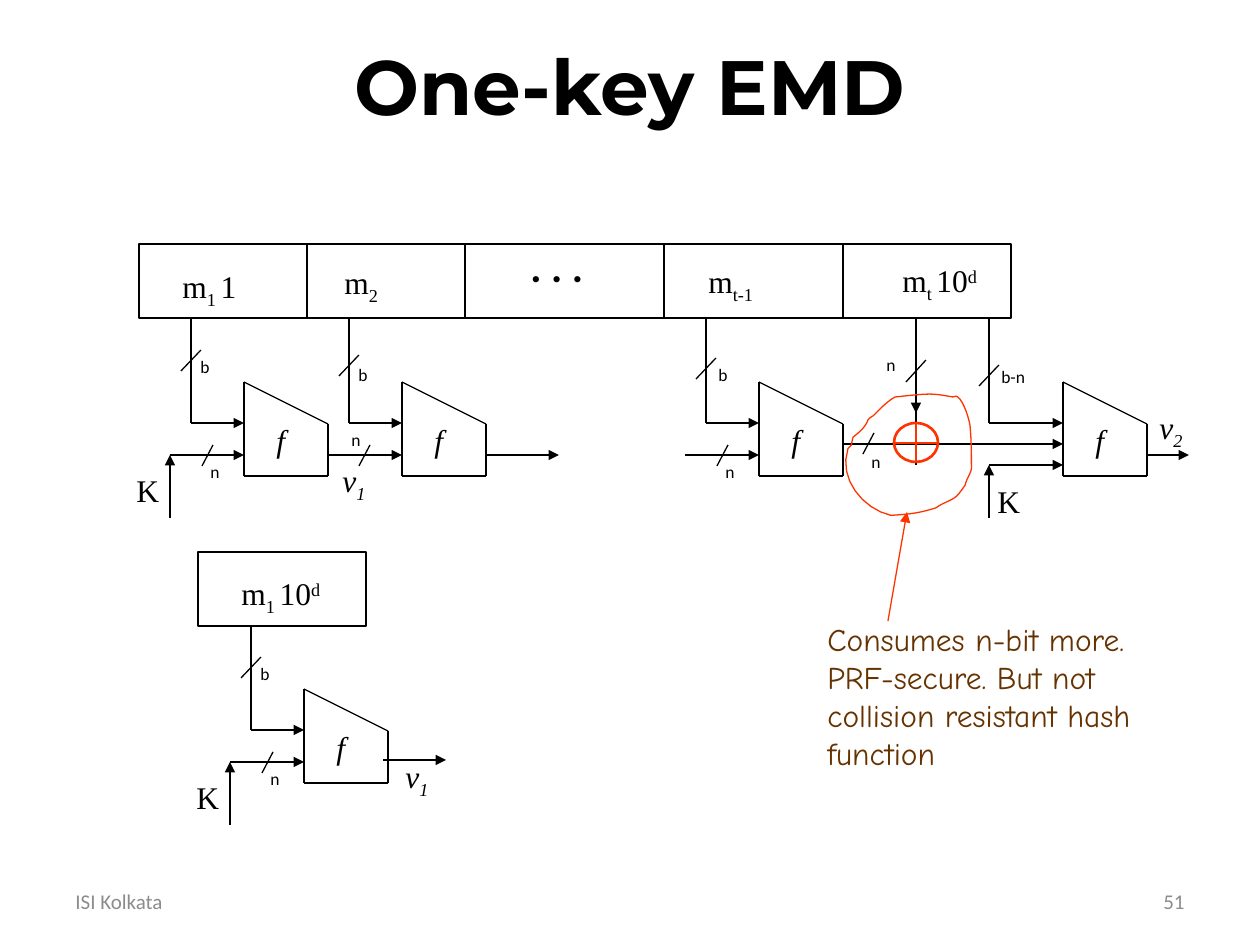
from pptx import Presentation
from pptx import util as u
from pptx.dml.color import RGBColor
from pptx.enum import shapes, text
from pptx.oxml.ns import qn
from lxml import etree

SCALE = 914400 / 126
BLACK = RGBColor(0, 0, 0)
RED = RGBColor(0xFF, 0x33, 0x00)
BROWN = RGBColor(0x66, 0x33, 0x00)
GRAY = RGBColor(0x8C, 0x8C, 0x8C)
SERIF, SANS = "Times New Roman", "Calibri"
SUB, SUPER = -25000, 30000
LEFT, CENTER, RIGHT = (text.PP_ALIGN.LEFT, text.PP_ALIGN.CENTER,
                       text.PP_ALIGN.RIGHT)
LOOP_START = (7.56, 3.15)
LOOP_CURVES = [
    (7.39, 3.12, 7.39, 3.12, 7.11, 3.15), (7.09, 3.15, 7.01, 3.22, 6.99, 3.24),
    (6.97, 3.26, 6.95, 3.28, 6.93, 3.3), (6.91, 3.31, 6.89, 3.33, 6.89, 3.33),
    (6.87, 3.39, 6.82, 3.43, 6.77, 3.47), (6.75, 3.55, 6.77, 3.52, 6.73, 3.56),
    (6.65, 3.8, 6.85, 4.04, 7.07, 4.09), (7.24, 4.08, 7.3, 4.07, 7.43, 4.03),
    (7.48, 3.99, 7.54, 3.98, 7.59, 3.94), (7.62, 3.91, 7.66, 3.85, 7.66, 3.85),
    (7.67, 3.8, 7.7, 3.77, 7.71, 3.72), (7.71, 3.61, 7.71, 3.5, 7.7, 3.39),
    (7.7, 3.35, 7.65, 3.18, 7.6, 3.15), (7.59, 3.14, 7.57, 3.15, 7.56, 3.15),
]


def px(value):
    return u.Emu(round(value * SCALE))


def set_format(target, values):
    for name, value in values.items():
        setattr(target, name, value)


def write(frame, paragraphs, size, font, color, align=LEFT, **style):
    for index, runs in enumerate(paragraphs):
        para = frame.paragraphs[0] if index == 0 else frame.add_paragraph()
        para.alignment = align
        for words, baseline in runs:
            span = para.add_run()
            span.text = words
            set_format(span.font, {"size": u.Pt(size), "name": font, **style})
            span.font.color.rgb = color
            if baseline:
                span.font._element.set("baseline", str(baseline))


def add_label(page, x, y, runs, width=35, height=34, size=10, font=SANS,
              **style):
    box = page.shapes.add_textbox(px(x), px(y), px(width), px(height))
    set_format(box.text_frame, {
        "word_wrap": False, "auto_size": text.MSO_AUTO_SIZE.SHAPE_TO_FIT_TEXT})
    runs = [(runs, 0)] if isinstance(runs, str) else runs
    write(box.text_frame, [runs], size, font, BLACK, **style)


def add_symbol(page, x, y, runs, width=50, **style):
    add_label(page, x, y, runs, width, 50, 18, SERIF, **style)


def add_block_text(page, x, y, width, height, lines, size, font, color,
                   align=LEFT, anchor=text.MSO_ANCHOR.TOP):
    box = page.shapes.add_textbox(px(x), px(y), px(width), px(height))
    set_format(box.text_frame, {"word_wrap": True, "vertical_anchor": anchor})
    write(box.text_frame, [[(line, 0)] for line in lines],
          size, font, color, align)


def add_line(page, x1, y1, x2, y2, arrow=False, color=BLACK):
    line = page.shapes.add_connector(
        shapes.MSO_CONNECTOR.STRAIGHT, px(x1), px(y1), px(x2), px(y2))
    line.line.color.rgb = color
    line.line.width = u.Pt(0.75)
    if arrow:
        tail = etree.SubElement(line.line._get_or_add_ln(), qn("a:tailEnd"))
        tail.set("type", "triangle")
    etree.SubElement(line._element.spPr, qn("a:effectLst"))


def outline(shape, color, width=0.75):
    shape.shadow.inherit = False
    shape.fill.background()
    shape.line.color.rgb = color
    shape.line.width = u.Pt(width)


def add_outline(page, kind, x, y, width, height, color=BLACK, weight=0.75):
    shape = page.shapes.add_shape(kind, px(x), px(y), px(width), px(height))
    outline(shape, color, weight)


def add_stage(page, x, y):
    corners = [(x, y), (x + 84, y + 42), (x + 84, y + 94), (x, y + 94)]
    for start, end in zip(corners, corners[1:] + corners[:1]):
        add_line(page, *start, *end)
    add_symbol(page, x + 20, y + 33, "f", 34, italic=True)


def add_feed(page, x, y, stage_x, slash_y, label_x, label_y, label="b"):
    add_line(page, x, y, x, y + 104)
    add_line(page, x, y + 104, stage_x, y + 104, arrow=True)
    add_line(page, x + 10, slash_y, x - 10, slash_y + 21)
    add_label(page, label_x, label_y, label, 50 if label == "b-n" else 35)


def add_width_mark(page, x, y, label_x, label_y):
    add_line(page, x, y, x - 11, y + 21)
    add_label(page, label_x, label_y, "n")


def add_key(page, x, y, stage_x, foot_y, label_x, label_y):
    add_line(page, x, y, stage_x, y, arrow=True)
    add_line(page, x, foot_y, x, y, arrow=True)
    add_symbol(page, label_x, label_y, "K", 48)


def add_first_stage(page, dx, dy):
    add_stage(page, dx + 244, dy + 382)
    add_feed(page, dx + 191, dy + 319, dx + 244, dy + 350, dx + 188, dy + 350)
    add_width_mark(page, dx + 213, dy + 445, dx + 198, dy + 455)
    add_key(page, dx + 170, dy + 455, dx + 244, dy + 518, dx + 124, dy + 465)


def add_loop(page):
    start, points = LOOP_START, []
    for curve in LOOP_CURVES:
        knots = [start, curve[:2], curve[2:4], curve[4:]]
        for step in range(1, 9):
            t = step / 8
            weights = ((1 - t) ** 3, 3 * t * (1 - t) ** 2,
                       3 * t * t * (1 - t), t ** 3)
            points.append(tuple(
                u.Inches(sum(w * k[axis] for w, k in zip(weights, knots)))
                for axis in (0, 1)))
        start = curve[4:]
    builder = page.shapes.build_freeform(
        u.Inches(LOOP_START[0]), u.Inches(LOOP_START[1]), scale=1.0)
    builder.add_line_segments(points, close=True)
    outline(builder.convert_to_shape(), RED)


def add_message(page):
    rectangle = shapes.MSO_SHAPE.RECTANGLE
    for x, y, width in [(307, 244, 704), (139, 244, 168), (198, 552, 168)]:
        add_outline(page, rectangle, x, y, width, 74)
    for x in (465, 664, 843):
        add_line(page, x, 244, x, 319)
    for x, y, width, runs in [
            (170, 261, 82, [("m", 0), ("1 ", SUB), ("1", 0)]),
            (332, 257, 78, [("m", 0), ("2", SUB)]),
            (696, 256, 99, [("m", 0), ("t-1", SUB)]),
            (890, 255, 103, [("m", 0), ("t ", SUB), ("10", 0), ("d", SUPER)]),
            (229, 568, 107, [("m", 0), ("1 ", SUB), ("10", 0), ("d", SUPER)])]:
        add_symbol(page, x, y, runs, width)
    add_label(page, 518, 234, ". . .", 83, 63, 24, bold=True)


def add_chain(page):
    for dx, dy in [(0, 0), (60, 307)]:
        add_first_stage(page, dx, dy)
    for x in (402, 759, 1063):
        add_stage(page, x, 382)
    add_feed(page, 349, 319, 402, 355, 346, 358)
    add_feed(page, 706, 319, 759, 358, 706, 358)
    add_feed(page, 989, 319, 1063, 365, 989, 360, "b-n")
    add_key(page, 989, 465, 1063, 518, 985, 476)
    for x1, x2, y in [(328, 402, 455), (486, 559, 455), (685, 759, 455),
                      (843, 1063, 444), (1147, 1189, 455), (383, 446, 760)]:
        add_line(page, x1, y, x2, y, arrow=True)
    for mark in [(370, 445, 339, 423), (728, 445, 713, 455),
                 (874, 433, 859, 445)]:
        add_width_mark(page, *mark)
    add_line(page, 916, 319, 916, 465)
    add_line(page, 916, 319, 916, 413, arrow=True)
    add_line(page, 926, 360, 906, 382)
    add_label(page, 874, 348, "n")
    for x, y, index in [(330, 455, "1"), (1147, 402, "2"), (393, 751, "1")]:
        add_symbol(page, x, y, [("v", 0), (index, SUB)], italic=True)


def add_remark(page):
    add_outline(page, shapes.MSO_SHAPE.OVAL, 894, 423, 44, 39, RED, 1.5)
    add_line(page, 894, 443, 938, 443, color=RED)
    add_line(page, 916, 423, 916, 462, color=RED)
    add_loop(page)
    add_line(page, 888, 621, 907, 512, arrow=True, color=RED)
    add_block_text(page, 815, 614, 350, 164, [
        "Consumes n-bit more.",
        "PRF-secure. But not collision resistant hash function",
    ], 18, "Comic Neue", BROWN)


def add_title(page):
    title = page.shapes.title
    set_format(title, {"left": px(63), "top": px(6),
                       "width": px(1134), "height": px(158)})
    set_format(title.text_frame, {
        "vertical_anchor": text.MSO_ANCHOR.MIDDLE, "word_wrap": True,
        "auto_size": text.MSO_AUTO_SIZE.NONE})
    write(title.text_frame, [[("One-key EMD", 0)]], 44, "Montserrat", BLACK,
          CENTER, bold=True)


def main():
    deck = Presentation()
    set_format(deck, {"slide_width": px(1260), "slide_height": px(945)})
    page = deck.slides.add_slide(deck.slide_layouts[5])
    add_title(page)
    add_message(page)
    add_chain(page)
    add_remark(page)
    for x, words, align in [(63, "ISI Kolkata", LEFT), (903, "51", RIGHT)]:
        add_block_text(page, x, 876, 294, 50, [words], 12, SANS, GRAY, align,
                       text.MSO_ANCHOR.MIDDLE)
    deck.save("out.pptx")


main()
